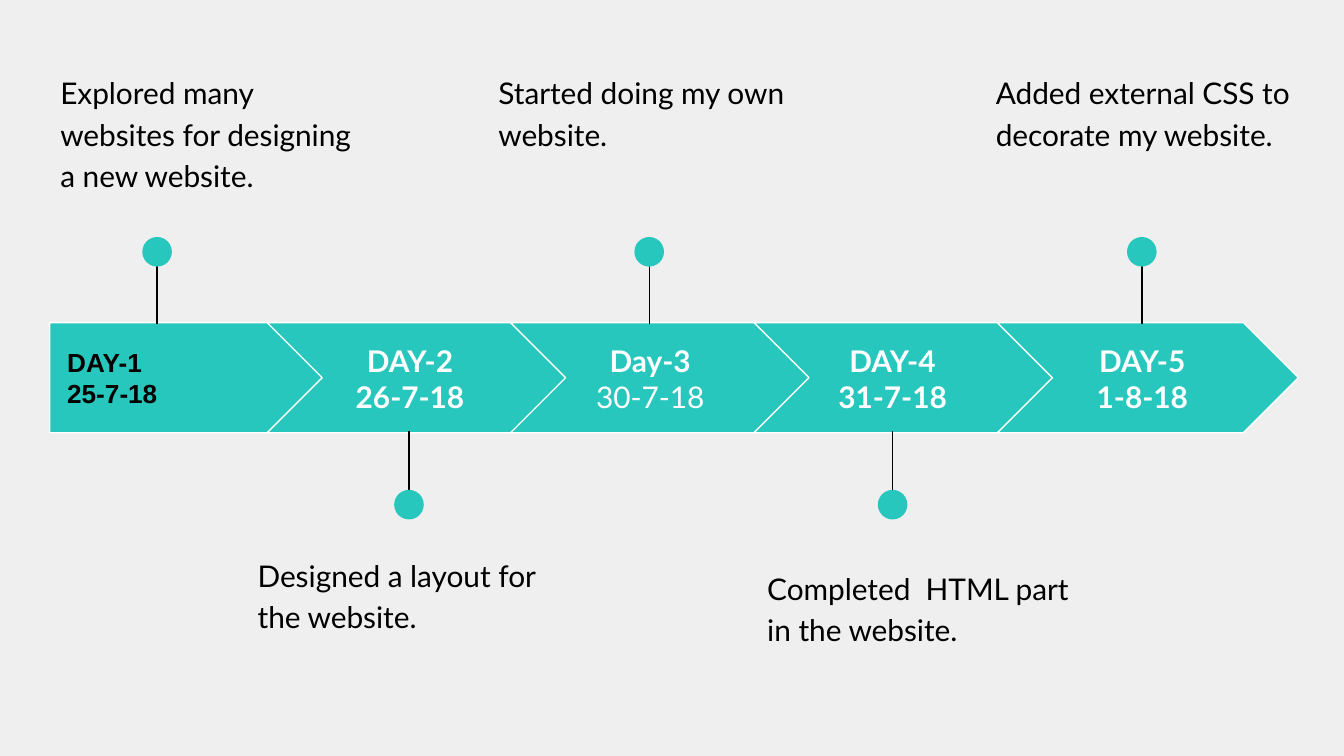
from lxml.etree import SubElement
from pptx import Presentation
from pptx.dml.color import RGBColor
from pptx.enum.shapes import MSO_CONNECTOR, MSO_SHAPE
from pptx.enum.text import MSO_ANCHOR, PP_ALIGN
from pptx.oxml.ns import qn
from pptx.util import Cm, Pt

COLOURS = {"paper": "EFEFEF", "teal": "27C7BD", "white": "FFFFFF", "black": "000000"}
PALETTE = {name: RGBColor.from_string(value) for name, value in COLOURS.items()}


def margins(size):
    return {f"margin_{side}": Cm(size) for side in ("left", "top", "right", "bottom")}


FORMATS = {
    "first_day": {
        "frame": {"word_wrap": True, "vertical_anchor": MSO_ANCHOR.MIDDLE, **margins(0.33)},
        "paragraph": {"alignment": PP_ALIGN.LEFT},
        "font": {"name": "Arial", "size": Pt(14), "bold": True},
        "colour": "black",
    },
    "day": {
        "frame": {"word_wrap": True, "vertical_anchor": MSO_ANCHOR.MIDDLE, **margins(0.25)},
        "paragraph": {"alignment": PP_ALIGN.CENTER},
        "font": {"name": "Lato", "size": Pt(16), "bold": True},
        "colour": "white",
    },
    "caption": {
        "frame": {"word_wrap": True, "vertical_anchor": MSO_ANCHOR.TOP, **margins(0.25)},
        "paragraph": {"alignment": PP_ALIGN.LEFT, "line_spacing": 1.15, "space_after": Pt(16)},
        "font": {"name": "Lato", "size": Pt(16), "bold": False},
        "colour": "black",
    },
}


def write(frame, text, kind):
    style = FORMATS[kind]
    frame.text = text
    targets = [(frame, style["frame"])]
    for paragraph in frame.paragraphs:
        targets += [(paragraph, style["paragraph"])]
        for run in paragraph.runs:
            targets += [(run.font, style["font"])]
            run.font.color.rgb = PALETTE[style["colour"]]
    for target, values in targets:
        for attribute, value in values.items():
            setattr(target, attribute, value)


deck = Presentation()
deck.slide_width, deck.slide_height = Cm(25.4), Cm(14.29)
slide = deck.slides.add_slide(deck.slide_layouts[6])
slide.background.fill.solid()
slide.background.fill.fore_color.rgb = PALETTE["paper"]

ARROW_TOP, ARROW_HEIGHT = 6.1, 2.08
CHEVRON_LEFT, CHEVRON_STEP = 5.05, 4.6
DOT = 0.56

days = [
    ("DAY-1\n25-7-18", None, 2.97, (0.89, 1.07),
     "Explored many websites for designing a new website."),
    ("DAY-2\n26-7-18", 5.92, 7.73, (4.62, 10.19),
     "Designed a layout for the website."),
    ("Day-3\n30-7-18", 10.46, 12.27, (9.17, 1.07),
     "Started doing my own website."),
    ("DAY-4\n31-7-18", 15.04, 16.87, (14.25, 10.44),
     "Completed  HTML part in the website."),
    ("DAY-5\n1-8-18", 19.76, 21.58, (18.57, 1.07),
     "Added external CSS to decorate my website."),
]

for index, (day, day_left, pin_x, (caption_left, caption_top), caption) in enumerate(days):
    if index == 0:
        outline, arrow_left, arrow_width = MSO_SHAPE.PENTAGON, 0.94, 5.2
    else:
        outline, arrow_width = MSO_SHAPE.CHEVRON, 5.69
        arrow_left = CHEVRON_LEFT + (index - 1) * CHEVRON_STEP
    arrow = slide.shapes.add_shape(
        outline, Cm(arrow_left), Cm(ARROW_TOP), Cm(arrow_width), Cm(ARROW_HEIGHT))
    arrow.line.color.rgb = PALETTE["white"]
    arrow.line.width = Pt(0.75)

    if index == 0:
        write(arrow.text_frame, day, "first_day")
    else:
        day_label = slide.shapes.add_textbox(Cm(day_left), Cm(6.5), Cm(3.66), Cm(1.3))
        write(day_label.text_frame, day, "day")
        if day.startswith("Day-3"):
            day_label.text_frame.paragraphs[1].runs[0].font.bold = False

    dot_top, stem_start, stem_end = (4.48, 4.57, 6.12) if index % 2 == 0 else (9.26, 9.7, 8.15)
    pin = slide.shapes.add_group_shape()
    stem = pin.shapes.add_connector(
        MSO_CONNECTOR.STRAIGHT, Cm(pin_x), Cm(stem_start), Cm(pin_x), Cm(stem_end))
    stem.line.color.rgb = PALETTE["black"]
    stem.line.width = Pt(0.75)
    SubElement(stem._element.spPr, qn("a:effectLst"))
    dot = pin.shapes.add_shape(
        MSO_SHAPE.OVAL, Cm(pin_x - DOT / 2), Cm(dot_top), Cm(DOT), Cm(DOT))
    dot.line.fill.background()

    for teal_shape in (arrow, dot):
        teal_shape.shadow.inherit = False
        teal_shape.fill.solid()
        teal_shape.fill.fore_color.rgb = PALETTE["teal"]

    note = slide.shapes.add_textbox(Cm(caption_left), Cm(caption_top), Cm(6.22), Cm(2.51))
    write(note.text_frame, caption, "caption")

deck.save("out.pptx")
